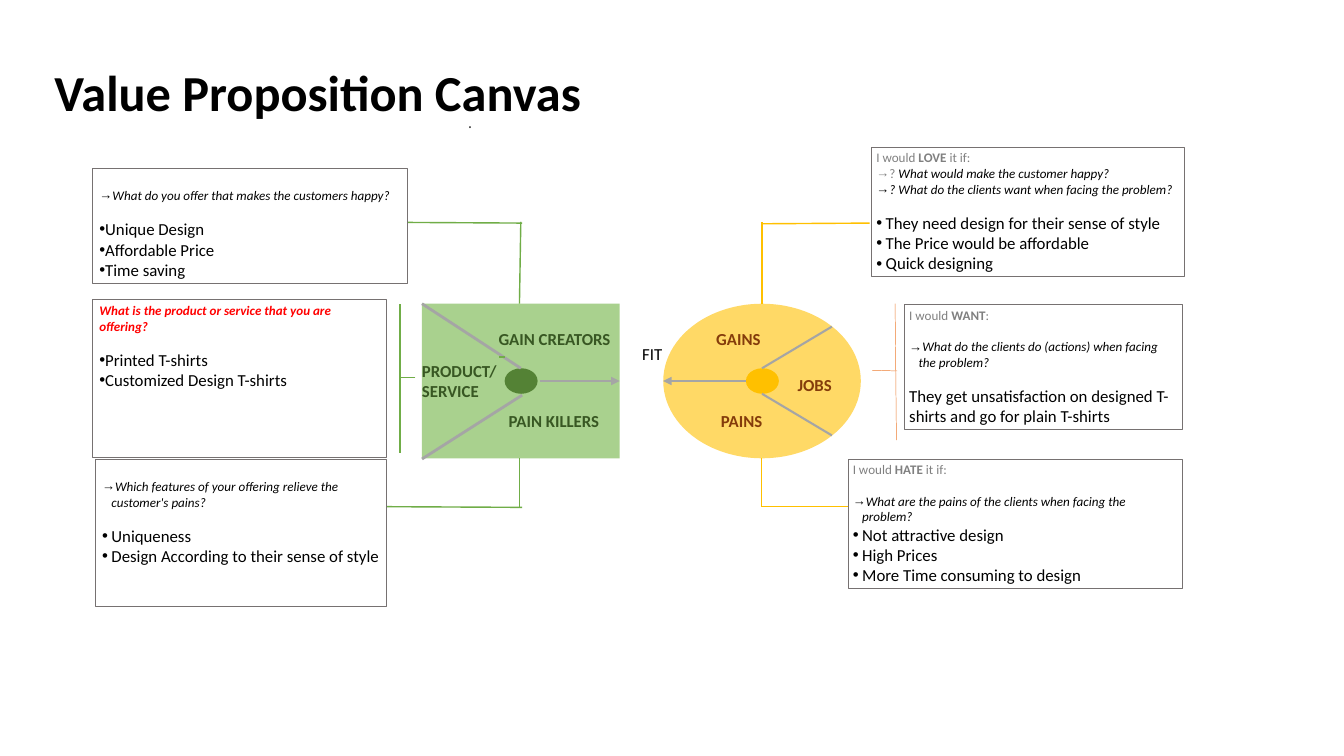
from lxml.etree import SubElement
from pptx import Presentation
from pptx.dml.color import RGBColor
from pptx.enum.shapes import MSO_CONNECTOR as Connector, MSO_SHAPE as Preset
from pptx.enum.text import MSO_ANCHOR as Anchor, MSO_AUTO_SIZE as AutoSize, PP_ALIGN as Align
from pptx.oxml.ns import qn
from pptx.util import Cm, Pt

GREEN, GOLD, ORANGE, GREY = "70AD47", "FFC000", "ED7D31", "A5A5A5"
DARK_GREEN, BROWN, PALE, BLACK = "385723", "843C0B", "808080", "000000"
LINE_GAP = 17

LEAD = dict(size=14, color=PALE)
ASK = dict(size=14, italic=True, bullet="→", hang=0.14)
ITEM = dict(size=18, bullet="•", hang=0.14)
FLUSH = dict(size=18, bullet="•")
JUSTIFIED = dict(FLUSH, align=Align.JUSTIFY)
GAP = dict(gap=LINE_GAP)


def lead(word, ending):
    """Return the spans of an 'I would ...' heading."""
    return [("I would ", {}), (word, dict(bold=True)), (ending, {})]


LEFT_INSETS, LOWERED, RIGHT_INSETS = (0.1, 0.05, 0.1), (0.1, 0.29, 0.1), (0.07, 0.04, 0.07)
NOTES = [
    ((1.38, 2.5, 4.68, 1.72), LOWERED, [
        ("What do you offer that makes the customers happy?", ASK),
        ("Unique Design", FLUSH | GAP),
        ("Affordable Price", FLUSH),
        ("Time saving", FLUSH)]),
    ((1.42, 6.83, 4.33, 2.19), LOWERED, [
        ("Which features of your offering relieve the customer's pains?", ASK),
        ("Uniqueness", ITEM | GAP),
        ("Design According to their sense of style", ITEM)]),
    ((12.62, 6.83, 4.97, 1.93), RIGHT_INSETS, [
        (lead("HATE", " it if:"), LEAD),
        ("What are the pains of the clients when facing the problem?", ASK | GAP),
        ("Not attractive design", ITEM),
        ("High Prices", ITEM),
        ("More Time consuming to design", ITEM)]),
    ((13.46, 4.53, 4.13, 1.86), RIGHT_INSETS, [
        (lead("WANT", ":"), LEAD),
        ("What do the clients do (actions) when facing the problem?", ASK | GAP),
        ("They get unsatisfaction on designed T-shirts and go for plain T-shirts",
         dict(size=18) | GAP)]),
    ((1.38, 4.45, 4.37, 2.36), (0.1, 0.05, 0.2), [
        ("What is the product or service that you are offering?",
         dict(size=14, color="FF0000", bold=True, italic=True)),
        ("Printed T-shirts", JUSTIFIED | GAP),
        ("Customized Design T-shirts", JUSTIFIED)]),
    ((12.97, 2.19, 4.65, 1.93), RIGHT_INSETS, [
        (lead("LOVE", " it if:"), LEAD),
        ([("?", dict(color=PALE, italic=False)),
          (" What would make the customer happy?", {})], ASK),
        ("? What do the clients want when facing the problem?", ASK),
        ("They need design for their sense of style", ITEM | GAP),
        ("The Price would be affordable", ITEM),
        ("Quick designing", ITEM)]),
]
AREAS = [
    (Preset.FLOWCHART_CONNECTOR, (9.87, 4.52, 2.94, 2.3), "FFD966"),
    (Preset.FLOWCHART_CONNECTOR, (11.1, 5.48, 0.49, 0.38), GOLD),
    (Preset.RECTANGLE, (6.28, 4.52, 2.94, 2.3), "A9D18E"),
    (Preset.FLOWCHART_CONNECTOR, (7.51, 5.48, 0.49, 0.38), "548235"),
]
LABELS = [
    (["JOBS"], (11.77, 5.52, 1.41, 0.4), BROWN),
    (["PAINS"], (10.63, 6.06, 1.41, 0.4), BROWN),
    (["GAINS"], (10.56, 4.84, 1.41, 0.4), BROWN),
    (["GAIN CREATORS"], (7.32, 4.84, 2.05, 0.4), DARK_GREEN),
    (["PAIN KILLERS"], (7.47, 6.06, 2.05, 0.4), DARK_GREEN),
    (["PRODUCT/", "SERVICE"], (6.18, 5.32, 2.05, 0.71), DARK_GREEN),
]
ARROWS = [(11.1, 5.67, 9.87, 5.67), (8.03, 5.67, 9.22, 5.67)]
LINES = [
    (GREY, 2.25, [(12.38, 4.86, 11.34, 5.48), (12.38, 6.48, 11.34, 5.86)]),
    (GREY, 3, [(7.75, 5.48, 6.28, 4.52), (7.77, 5.88, 6.28, 6.83)]),
    (GREEN, 1.5, [(7.73, 4.52, 7.75, 3.3), (7.77, 3.32, 6.07, 3.31),
                  (7.73, 7.54, 7.73, 6.82), (7.77, 7.55, 5.75, 7.54),
                  (7.52, 5.31, 7.43, 5.31), (5.95, 6.74, 5.95, 4.52),
                  (6.18, 5.62, 5.95, 5.62)]),
    (GOLD, 1.5, [(11.34, 4.52, 11.34, 3.3), (12.94, 3.32, 11.33, 3.33),
                 (11.33, 7.54, 11.33, 6.82), (12.62, 7.54, 11.33, 7.54)]),
    (ORANGE, 0.5, [(12.98, 5.51, 13.35, 5.52), (13.34, 6.55, 13.32, 4.52)]),
]


def inches(*values):
    """Convert inch values to lengths."""
    return [Cm(value * 2.54) for value in values]


def paint(target, color):
    """Give a fill or font colour format a solid hex colour."""
    target.rgb = RGBColor.from_string(color)


def write(frame, text, size=18, color=BLACK, bold=False, italic=False, font="Calibri",
          bullet=None, hang=0, gap=0, align=Align.LEFT, leading=None):
    """Add one paragraph made of a string or of (string, overrides) spans."""
    para = frame.paragraphs[0]
    if para.runs:
        para = frame.add_paragraph()
    if bullet:
        props = para._p.get_or_add_pPr()
        props.set("marL", str(inches(hang)[0]))
        props.set("indent", str(-inches(hang)[0]))
        SubElement(props, qn("a:buFont")).set("typeface", "Arial")
        SubElement(props, qn("a:buChar")).set("char", bullet)
    para.alignment = align
    para.space_before = Pt(gap)
    if leading:
        para.line_spacing = Pt(leading)
    for words, changes in [(text, {})] if isinstance(text, str) else text:
        look = dict(color=color, bold=bold, italic=italic) | changes
        span = para.add_run()
        span.text = words
        span.font.name, span.font.size = font, Pt(size)
        span.font.bold, span.font.italic = look["bold"], look["italic"]
        paint(span.font.color, look["color"])


def set_frame(frame, left=0.1, top=0.05, right=0.1, wrap=True):
    """Set wrapping, insets and top anchoring."""
    frame.word_wrap, frame.auto_size = wrap, AutoSize.NONE
    frame.vertical_anchor = Anchor.TOP
    frame.margin_left, frame.margin_top, frame.margin_right = inches(left, top, right)
    frame.margin_bottom = inches(min(top, 0.05))[0]
    return frame


def add_area(page, preset, place, fill=None, outline=None):
    """Add a flat preset shape."""
    shape = page.shapes.add_shape(preset, *inches(*place))
    shape.shadow.inherit = False
    if fill:
        shape.fill.solid()
        paint(shape.fill.fore_color, fill)
    else:
        shape.fill.background()
    if outline:
        paint(shape.line.color, outline)
        shape.line.width = Pt(0.75)
    else:
        shape.line.fill.background()
    return shape


def add_line(page, ends, color, width, arrow=False):
    """Add a straight line, with an arrowhead at its end if asked."""
    line = page.shapes.add_connector(Connector.STRAIGHT, *inches(*ends))
    paint(line.line.color, color)
    line.line.width = Pt(width)
    if arrow:
        SubElement(line.line._get_or_add_ln(), qn("a:tailEnd")).set("type", "triangle")
    SubElement(line._element.spPr, qn("a:effectLst"))


def add_label(page, texts, place, wrap=True, **look):
    """Add a text box with one paragraph for each text."""
    box = page.shapes.add_textbox(*inches(*place))
    frame = set_frame(box.text_frame, wrap=wrap)
    for text in texts:
        write(frame, text, **look)


def main():
    """Build and save the value proposition canvas."""
    deck = Presentation()
    deck.slide_width, deck.slide_height = inches(20, 11.25)
    page = deck.slides.add_slide(deck.slide_layouts[5])
    title = page.shapes.title
    title.left, title.top, title.width, title.height = inches(0.81, 0.6, 13.49, 1.22)
    write(set_frame(title.text_frame, 0, 0, 0), "Value Proposition Canvas",
          size=54, bold=True, leading=87.5)
    for preset, place, fill in AREAS:
        add_area(page, preset, place, fill)
    for ends in ARROWS:
        add_line(page, ends, GREY, 3, arrow=True)
    for color, width, group in LINES:
        for ends in group:
            add_line(page, ends, color, width)
    for texts, place, color in LABELS:
        add_label(page, texts, place, color=color, bold=True)
    for place, insets, paragraphs in NOTES:
        box = add_area(page, Preset.RECTANGLE, place, outline="767171")
        frame = set_frame(box.text_frame, *insets)
        for text, look in paragraphs:
            write(frame, text, **look)
    add_label(page, ["FIT"], (8.77, 5.06, 1.87, 0.4), align=Align.CENTER)
    add_label(page, ["."], (6.87, 1.62, 0.27, 0.4), wrap=False, font="Cambria", color="292929")
    deck.save("out.pptx")


if __name__ == "__main__":
    main()
